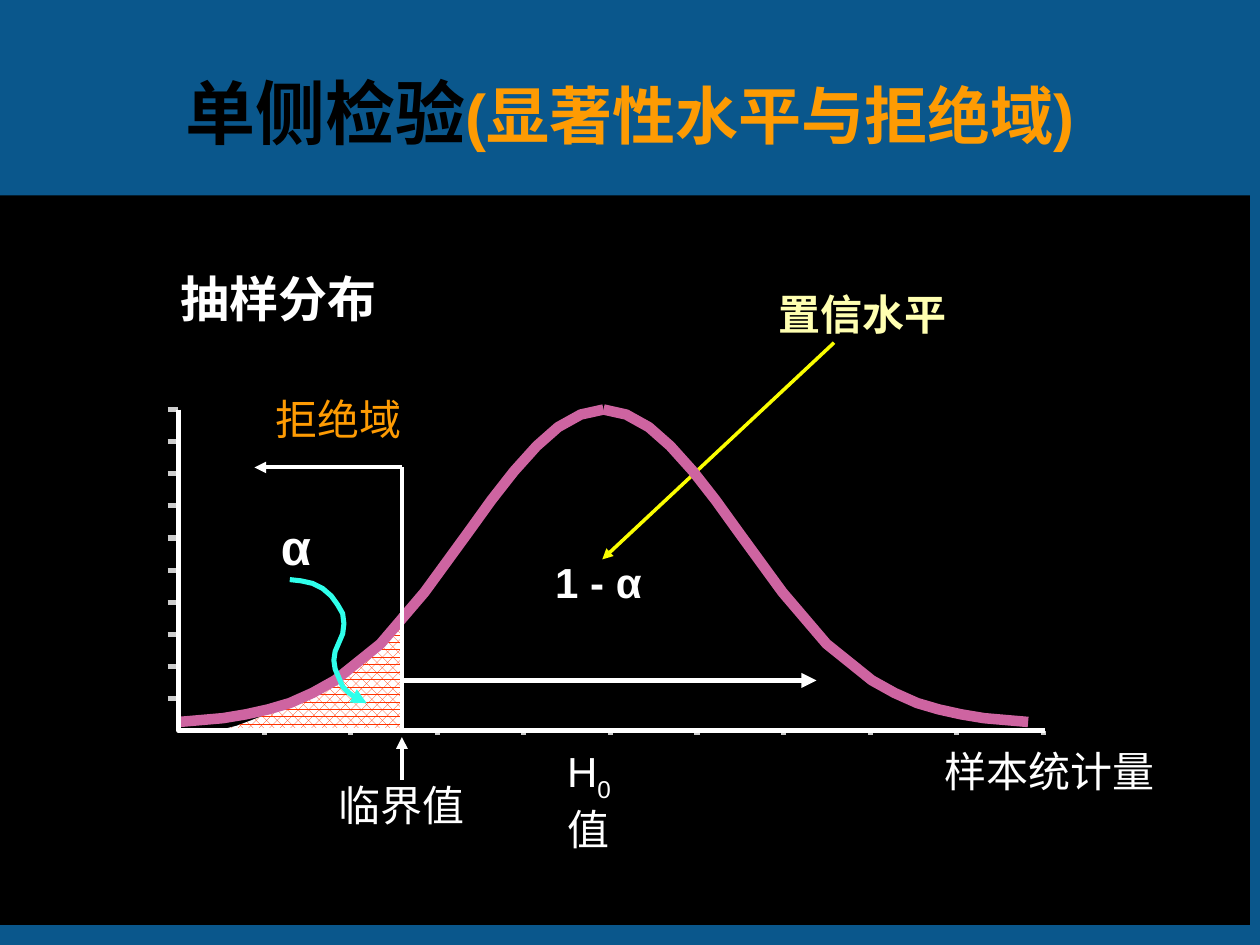
from dataclasses import dataclass

from lxml.etree import SubElement
from pptx import Presentation
from pptx.dml.color import RGBColor
from pptx.enum.dml import MSO_PATTERN
from pptx.enum.shapes import MSO_CONNECTOR, MSO_SHAPE
from pptx.enum.text import MSO_ANCHOR, PP_ALIGN
from pptx.oxml.ns import qn
from pptx.util import Inches, Pt


@dataclass(frozen=True)
class Theme:
    back: str = "0A578C"
    black: str = "000000"
    white: str = "FFFFFF"
    orange: str = "FE9B03"
    cream: str = "FFFFB1"
    yellow: str = "FAFD00"
    cyan: str = "2FFFEB"
    pink: str = "CE64A1"
    red: str = "FF3300"
    tick: str = "CDCDCD"
    font: str = "Arial"
    title_font: str = "Vollkorn"
    title: int = 40
    subtitle: int = 36
    heading: int = 28
    label: int = 24
    thin: float = 2
    medium: float = 2.25
    thick: float = 2.88
    curve: float = 6


class Diagram:
    COLS, ROWS = 100, 75

    def __init__(self, prs, theme):
        self.theme = theme
        self.col = prs.slide_width / self.COLS
        self.row = prs.slide_height / self.ROWS
        self.s = prs.slides.add_slide(prs.slide_layouts[6])
        fill = self.s.background.fill
        fill.solid()
        fill.fore_color.rgb = RGBColor.from_string(theme.back)

    def place(self, x, y):
        return round(x * self.col), round(y * self.row)

    def stroke(self, sp, color, width, arrow=False):
        sp.line.color.rgb = RGBColor.from_string(color)
        sp.line.width = Pt(width)
        if arrow:
            ln = sp._element.spPr.find(qn("a:ln"))
            SubElement(ln, qn("a:tailEnd"), type="triangle")

    def panel(self, x, y, w, h, color):
        sp = self.s.shapes.add_shape(MSO_SHAPE.RECTANGLE, *self.place(x, y), *self.place(w, h))
        sp.shadow.inherit = False
        sp.fill.solid()
        sp.fill.fore_color.rgb = RGBColor.from_string(color)
        sp.line.fill.background()

    def text(self, x, y, w, h, text, color, size=None, bold=False, wrap=False, align=None, inset=(0, 0)):
        sp = self.s.shapes.add_textbox(*self.place(x, y), *self.place(w, h))
        tf = sp.text_frame
        tf.word_wrap = wrap
        tf.margin_left = tf.margin_right = Inches(inset[0])
        tf.margin_top = tf.margin_bottom = Inches(inset[1])
        p = tf.paragraphs[0]
        p.text = text
        p.alignment = align
        self.style(p.runs[0], color, size or self.theme.label, bold)
        return tf

    def style(self, r, color, size, bold=False, font=None):
        r.font.name = font or self.theme.font
        r.font.size = Pt(size)
        r.font.bold = bold
        r.font.color.rgb = RGBColor.from_string(color)

    def more(self, tf, text, color, size, bold=False):
        r = tf.paragraphs[0].add_run()
        r.text = text
        self.style(r, color, size, bold)
        return r

    def line(self, start, end, color, width, arrow=False):
        c = self.s.shapes.add_connector(MSO_CONNECTOR.STRAIGHT, *self.place(*start), *self.place(*end))
        self.stroke(c, color, width, arrow)
        SubElement(c._element.spPr, qn("a:effectLst"))

    def outline(self, points, closed=False):
        first, *rest = [self.place(*pt) for pt in points]
        fb = self.s.shapes.build_freeform(*first)
        fb.add_line_segments(rest, close=closed)
        sp = fb.convert_to_shape()
        sp.shadow.inherit = False
        return sp

    def path_line(self, points, color, width, arrow=False):
        sp = self.outline(points)
        sp.fill.background()
        self.stroke(sp, color, width, arrow)

    def hatched(self, points, fore, back):
        sp = self.outline(points, closed=True)
        sp.fill.patterned()
        sp.fill.pattern = MSO_PATTERN.PERCENT_60
        sp.fill.fore_color.rgb = RGBColor.from_string(fore)
        sp.fill.back_color.rgb = RGBColor.from_string(back)
        sp.line.fill.background()

    def solid(self, points, color):
        sp = self.outline(points, closed=True)
        sp.fill.solid()
        sp.fill.fore_color.rgb = RGBColor.from_string(color)
        self.stroke(sp, color, 0.75)


AXIS_X, AXIS_Y, AXIS_END = 14.2, 58, 82.9
PEAK_X, PEAK_Y = 47.9, 32.5
CRITICAL_X, REJECT_Y = 31.9, 37.1
BELL = [(14.2, 57.3), (17.7, 57), (19.5, 56.7), (21.3, 56.3), (23, 55.8), (24.8, 55),
        (26.6, 54), (30.2, 51.1), (33.7, 47), (37.2, 42.2), (39, 39.7), (40.8, 37.4),
        (42.6, 35.4), (44.3, 33.9), (46.1, 32.9), (PEAK_X, PEAK_Y)]
TAIL_AREA = [(31.8, 48.6), (31.8, 58), (17.2, 58), (18.8, 57.6), (20.4, 57), (21.9, 56.4),
             (23.3, 55.8), (24.7, 55.1), (26, 54.3), (27.2, 53.4), (28.3, 52.5),
             (29.3, 51.6), (30.3, 50.6), (31.1, 49.6)]
ALPHA_POINTER = [(23, 46), (23.9, 46.1), (24.8, 46.3), (25.6, 46.7), (26.3, 47.3), (26.8, 48),
                 (27.2, 48.7), (27.3, 49.5), (27.2, 50.3), (26.9, 51), (26.6, 51.7),
                 (26.5, 52.4), (26.6, 53.1), (26.9, 53.8), (27.2, 54.5), (27.7, 55),
                 (28.4, 55.5), (29.1, 55.8)]
POINTER_TIP = [(29.5, 53.5), (31, 54.6), (29.1, 55.2)]


def main():
    prs = Presentation()
    prs.slide_width, prs.slide_height = Inches(10), Inches(7.5)
    t = Theme()
    d = Diagram(prs, t)
    inset = (0.1, 0.05)

    title = d.text(12.9, 2.9, 74.2, 12.5, "单侧检验", t.black, t.title, True, True, PP_ALIGN.CENTER, inset)
    title.vertical_anchor = MSO_ANCHOR.MIDDLE
    title.paragraphs[0].line_spacing = 0.95
    title.paragraphs[0].runs[0].font.name = t.title_font
    d.more(title, "(显著性水平与拒绝域)", t.orange, t.subtitle, True)

    d.panel(-0.8, 15.5, 100, 57.9, t.black)

    null_value = d.text(45, 59.2, 6.5, 4, "H", t.white, wrap=True)
    zero = d.more(null_value, "0", t.white, t.label)
    zero._r.get_or_add_rPr().set("baseline", "-25000")
    d.more(null_value, "值", t.white, t.label)

    d.text(26.9, 61.9, 10, 4, "临界值", t.white)
    d.text(22.3, 41, 4.1, 4.7, "α", t.white, t.heading, True)
    d.text(75, 59.2, 16.7, 4, "样本统计量", t.white)
    d.text(21.9, 31.2, 10, 4, "拒绝域", t.orange)

    for i in range(10):
        y = PEAK_Y + i * 2.55
        d.line((13.3, y), (14.1, y), t.tick, t.thick)
        x = AXIS_END - 0.1 - i * 6.87
        d.line((x, AXIS_Y), (x, AXIS_Y + 0.3), t.tick, t.thick)

    d.line((32.1, 54), (64.8, 54), t.white, t.thick, True)
    d.solid(POINTER_TIP, t.cyan)
    d.text(7.5, 20.8, 29.2, 5.6, "抽样分布", t.white, t.heading, True, True, PP_ALIGN.CENTER, inset)
    d.text(39.1, 43.7, 16.8, 5, "1 - α", t.white, t.label, True, True, PP_ALIGN.CENTER, inset)
    d.line((66.2, 27.2), (47.8, 44.4), t.yellow, t.thin, True)
    d.text(60.8, 22.4, 22.6, 5, "置信水平", t.cream, t.label, True, True, inset=inset)
    d.line((CRITICAL_X, 61.9), (CRITICAL_X, 58.5), t.white, t.medium, True)

    d.hatched(TAIL_AREA, t.red, t.white)
    d.path_line([(2 * PEAK_X - x, y) for x, y in BELL], t.pink, t.curve)
    d.path_line(BELL, t.pink, t.curve)
    d.line((CRITICAL_X, REJECT_Y), (20.2, REJECT_Y), t.white, t.medium, True)
    d.line((CRITICAL_X, REJECT_Y), (CRITICAL_X, AXIS_Y), t.white, t.medium)
    d.path_line(ALPHA_POINTER, t.cyan, t.thick, True)
    d.path_line([(AXIS_X, PEAK_Y), (AXIS_X, AXIS_Y), (AXIS_END, AXIS_Y)], t.white, t.thick)

    prs.save("out.pptx")


if __name__ == "__main__":
    main()
